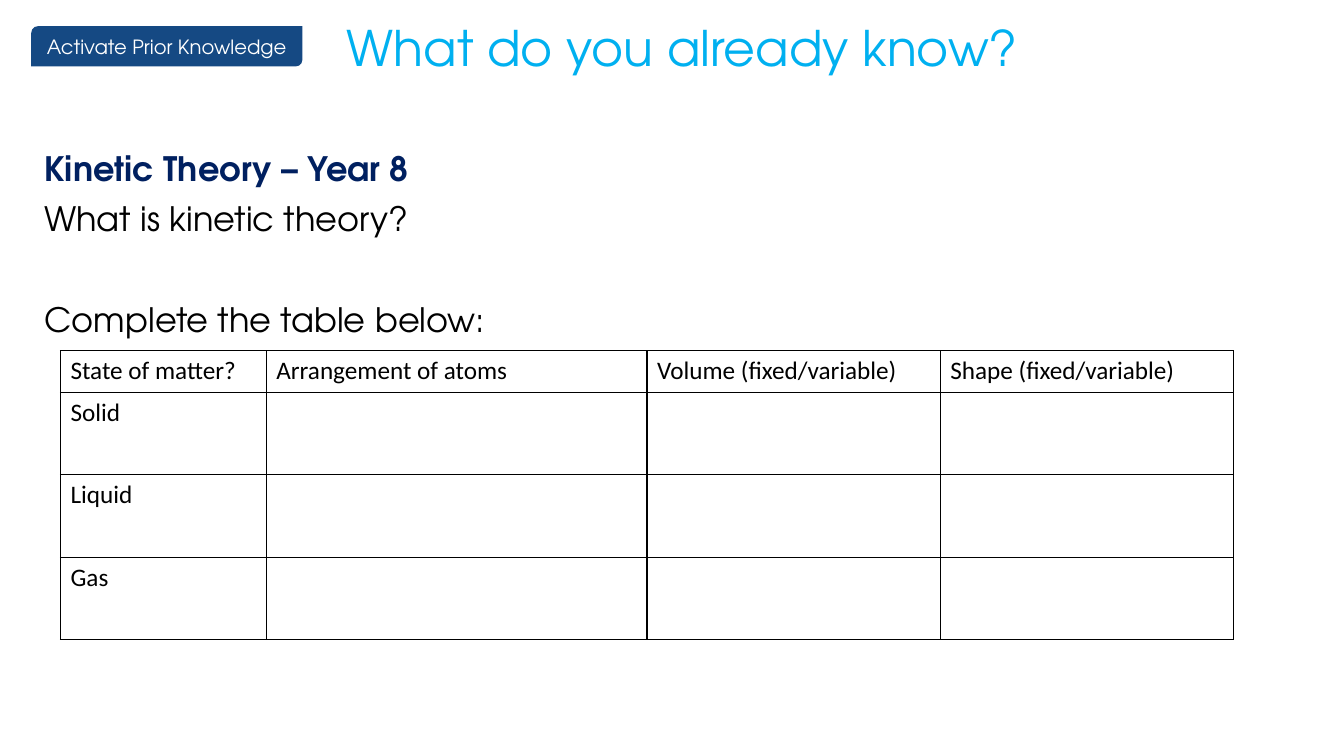
from lxml import etree
from pptx import Presentation
from pptx.dml.color import RGBColor
from pptx.enum import shapes, text
from pptx.oxml import ns
from pptx.util import Pt

COLOURS = {"badge": "154983", "white": "FFFFFF", "title": "00B0F0",
           "heading": "002060", "black": "000000"}
DISPLAY_FONT = "TeX Gyre Adventor"


def style(para, font_name, size, colour, bold=False):
    para.font.name = font_name
    para.font.size = Pt(size)
    para.font.bold = bold
    para.font.color.rgb = RGBColor.from_string(COLOURS[colour])


def add_border(properties, side):
    line = etree.SubElement(properties, ns.qn(f"a:{side}"), w=str(Pt(1)))
    fill = etree.SubElement(line, ns.qn("a:solidFill"))
    etree.SubElement(fill, ns.qn("a:srgbClr"), val=COLOURS["black"])


deck = Presentation()
deck.slide_width, deck.slide_height = Pt(960), Pt(540)
page = deck.slides.add_slide(deck.slide_layouts[5])

badge = page.shapes.add_shape(shapes.MSO_SHAPE.ROUND_2_DIAG_RECTANGLE,
                              Pt(22.3), Pt(18.7), Pt(193.7), Pt(28.8))
badge.shadow.inherit = False
badge.fill.solid()
badge.fill.fore_color.rgb = RGBColor.from_string(COLOURS["badge"])
badge.line.fill.background()
badge.text_frame.word_wrap = False
badge.text_frame.vertical_anchor = text.MSO_ANCHOR.MIDDLE
badge_para = badge.text_frame.paragraphs[0]
badge_para.text = "Activate Prior Knowledge"
badge_para.alignment = text.PP_ALIGN.CENTER
style(badge_para, DISPLAY_FONT, 14, "white")

title = page.shapes.title
title.left, title.top, title.width, title.height = Pt(240.5), Pt(13.7), Pt(700), Pt(38.2)
title.text_frame.auto_size = text.MSO_AUTO_SIZE.NONE
title.text_frame.vertical_anchor = text.MSO_ANCHOR.TOP
title_para = title.text_frame.paragraphs[0]
title_para.text = "What do you already know?"
title_para.alignment = text.PP_ALIGN.LEFT
title_para.line_spacing = 0.9
style(title_para, DISPLAY_FONT, 35, "title")

prompts = page.shapes.add_textbox(Pt(24.5), Pt(105.1), Pt(712), Pt(145))
prompts.text_frame.word_wrap = True
prompt_lines = [
    ("Kinetic Theory – Year 8", 0, "heading", True),
    ("What is kinetic theory?", 10, "black", False),
    ("Complete the table below:", 46, "black", False),
]
for index, (wording, gap, colour, bold) in enumerate(prompt_lines):
    para = prompts.text_frame.add_paragraph() if index else prompts.text_frame.paragraphs[0]
    para.text = wording
    para.line_spacing = 0.9
    para.space_before = Pt(gap)
    style(para, DISPLAY_FONT, 24, colour, bold)

headings = ["State of matter?", "Arrangement of atoms",
            "Volume (fixed/variable)", "Shape (fixed/variable)"]
rows = [headings] + [[state, "", "", ""] for state in ("Solid", "Liquid", "Gas")]
column_widths = [147, 272, 209.5, 209.5]
row_heights = [29.5, 59, 59, 59]
frame = page.shapes.add_table(len(rows), len(headings), Pt(43.2), Pt(250.6),
                              Pt(sum(column_widths)), Pt(sum(row_heights)))
states = frame.table
states.first_row = False
states.horz_banding = False
for column, width in zip(states.columns, column_widths):
    column.width = Pt(width)
for row, height, wordings in zip(states.rows, row_heights, rows):
    row.height = Pt(height)
    for cell, wording in zip(row.cells, wordings):
        cell.text = wording
        style(cell.text_frame.paragraphs[0], "Calibri", 18, "black")
        for side in ("lnL", "lnR", "lnT", "lnB"):
            add_border(cell._tc.get_or_add_tcPr(), side)
        cell.fill.background()

deck.save("out.pptx")
